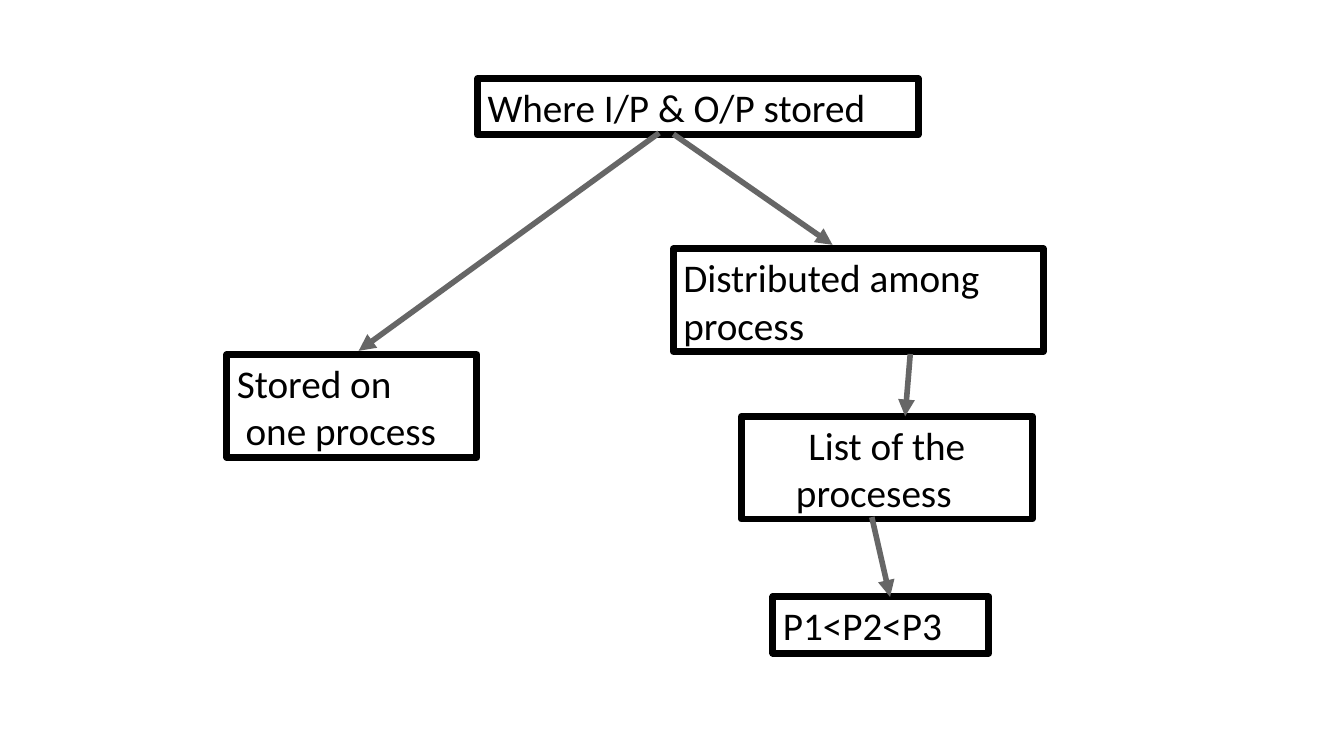
from lxml import etree
from pptx import Presentation
from pptx import util as u
from pptx.dml.color import RGBColor
from pptx.enum import shapes, text
from pptx.oxml import ns

COLOURS = {"ink": "000000", "arrow": "666666"}
FONT, TEXT_SIZE = "Calibri", 28
ONE_LINE, TWO_LINES = 1.42, 2.59
LEFT, CENTRE = text.PP_ALIGN.LEFT, text.PP_ALIGN.CENTER

# Lengths are centimetres from the corner of the tree:
# left, top, width, height, lines as (wording, alignment, indent)
BOXES = [
    (6.32, 0, 11.1, ONE_LINE, [("Where I/P & O/P stored", LEFT, 0)]),
    (0, 6.96, 6.3, TWO_LINES, [("Stored on", LEFT, 0), ("one process", LEFT, 0.22)]),
    (11.25, 4.29, 9.32, TWO_LINES, [("Distributed among process", LEFT, 0)]),
    (12.97, 8.51, 7.32, TWO_LINES, [("List of the", CENTRE, 0), ("procesess", LEFT, 1.12)]),
    (13.76, 13.06, 5.44, ONE_LINE, [("P1<P2<P3", LEFT, 0)]),
]
# start x, start y, end x, end y
ARROWS = [
    (10.89, 1.37, 3.32, 6.86),
    (11.25, 1.4, 15.26, 4.19),
    (17.22, 6.94, 17.09, 8.51),
    (16.25, 11.05, 16.71, 13.06),
]


def colour(name):
    return RGBColor.from_string(COLOURS[name])


def add_box(page, left, top, width, height, lines):
    box = page.shapes.add_textbox(u.Cm(left), u.Cm(top), u.Cm(width), u.Cm(height))
    box.line.color.rgb = colour("ink")
    box.line.width = u.Pt(5)
    frame = box.text_frame
    frame.word_wrap = True
    frame.auto_size = text.MSO_AUTO_SIZE.SHAPE_TO_FIT_TEXT
    for number, (wording, alignment, indent) in enumerate(lines):
        para = frame.add_paragraph() if number else frame.paragraphs[0]
        para.alignment = alignment
        if indent:
            para._p.get_or_add_pPr().set("marL", str(u.Cm(indent)))
        span = para.add_run()
        span.text = wording
        span.font.name = FONT
        span.font.size = u.Pt(TEXT_SIZE)
        span.font.color.rgb = colour("ink")


def add_arrow(page, *ends):
    arrow = page.shapes.add_connector(
        shapes.MSO_CONNECTOR.STRAIGHT, *(u.Cm(end) for end in ends))
    arrow.line.color.rgb = colour("arrow")
    arrow.line.width = u.Pt(4)
    etree.SubElement(arrow.line._get_or_add_ln(), ns.qn("a:tailEnd"), type="triangle")
    etree.SubElement(arrow._element.spPr, ns.qn("a:effectLst"))


def add_decision_tree(page, left, top):
    for x, y, width, height, lines in BOXES:
        add_box(page, left + x, top + y, width, height, lines)
    for x1, y1, x2, y2 in ARROWS:
        add_arrow(page, left + x1, top + y1, left + x2, top + y2)


def main():
    deck = Presentation()
    deck.slide_width, deck.slide_height = u.Cm(33.87), u.Cm(19.05)
    page = deck.slides.add_slide(deck.slide_layouts[6])
    add_decision_tree(page, 5.72, 1.98)
    deck.save("out.pptx")


if __name__ == "__main__":
    main()
